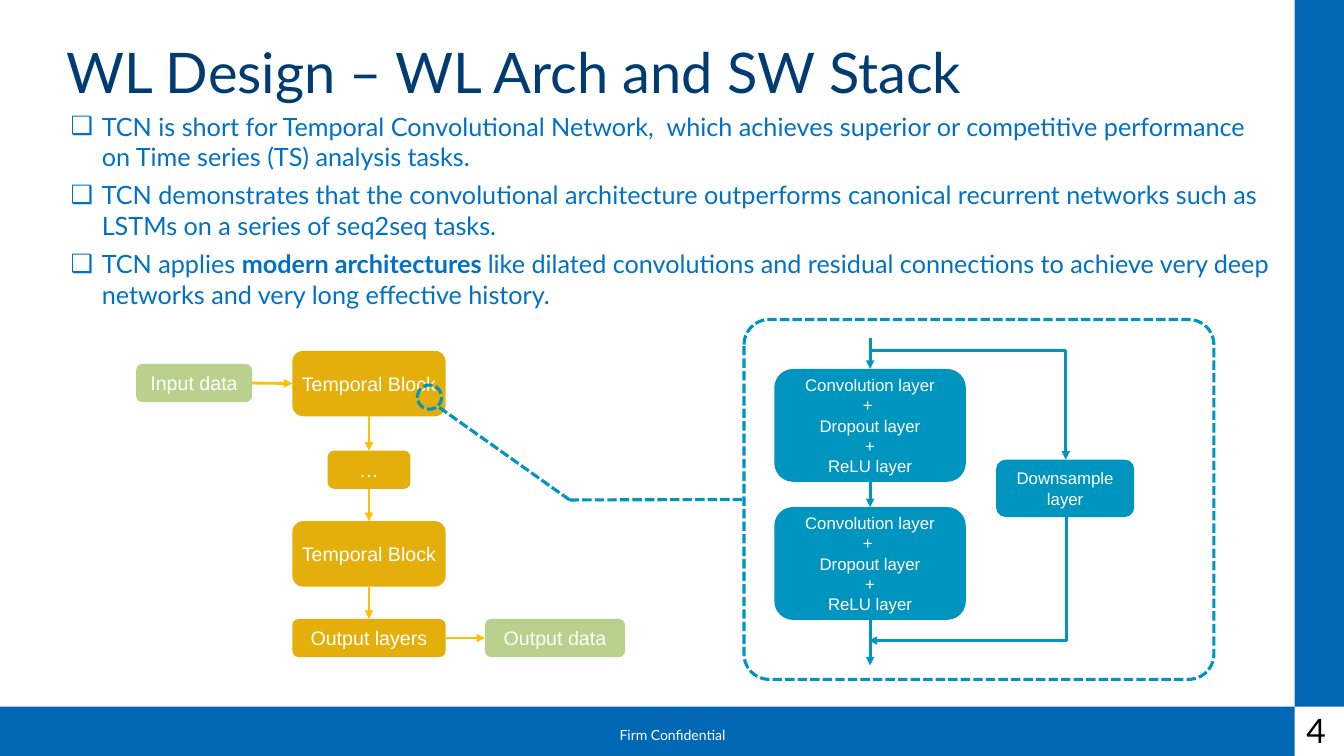
from lxml import etree
from pptx import Presentation
from pptx.dml.color import RGBColor
from pptx.enum.dml import MSO_LINE
from pptx.enum.shapes import MSO_CONNECTOR as Connector, MSO_SHAPE as Preset
from pptx.enum.text import MSO_ANCHOR as Anchor, MSO_AUTO_SIZE as AutoSize, PP_ALIGN as Align
from pptx.oxml.ns import qn
from pptx.util import Inches, Pt

BLUE, NAVY, BODY_BLUE = "0068B5", "003C71", "0071C5"
GOLD, ARROW_GOLD, GREEN, TEAL = "E5AF0B", "FFC000", "BAD18D", "0095BE"
WHITE, BLACK = "FFFFFF", "000000"
TOP, LEFT, BOTTOM, RIGHT = range(4)

BULLETS = [
    ["TCN is short for Temporal Convolutional Network,\u00a0\u00a0which achieves superior "
     "or competitive performance on Time series (TS) analysis tasks."],
    ["TCN demonstrates that the convolutional architecture outperforms canonical "
     "recurrent networks such as LSTMs on a series of seq2seq tasks."],
    ["TCN applies ", "modern architectures ",
     "like dilated convolutions and residual connections to achieve very deep "
     "networks and very long effective history."],
]
CONVOLUTION = "Convolution layer\n+ \nDropout layer\n+\nReLU layer"


def color(value):
    return RGBColor.from_string(value)


def inches(*values):
    return [Inches(value) for value in values]


def place(shape, box):
    shape.left, shape.top, shape.width, shape.height = inches(*box)


def format_font(font, size, value, name):
    font.size, font.name = Pt(size), name
    font.color.rgb = color(value)


def format_text(text_frame, size, value, name="Lato", align=Align.LEFT, spacing=None):
    for paragraph in text_frame.paragraphs:
        paragraph.alignment = align
        paragraph.line_spacing = spacing
        for run in paragraph.runs:
            format_font(run.font, size, value, name)


def set_insets(text_frame, inset):
    text_frame.margin_left = text_frame.margin_right = Inches(inset)
    text_frame.margin_top = text_frame.margin_bottom = Inches(inset)


def prepare_placeholder(shape, box):
    place(shape, box)
    text_frame = shape.text_frame
    set_insets(text_frame, 0)
    text_frame.vertical_anchor = Anchor.TOP
    text_frame.auto_size = AutoSize.NONE
    return text_frame


def add_bar(slide, box):
    shape = slide.shapes.add_shape(Preset.RECTANGLE, *inches(*box))
    shape.shadow.inherit = False
    shape.fill.solid()
    shape.fill.fore_color.rgb = color(BLUE)
    shape.line.fill.background()


def add_label(slide, box, text, size, value, align=Align.LEFT, wrap=True):
    text_frame = slide.shapes.add_textbox(*inches(*box)).text_frame
    text_frame.word_wrap = wrap
    text_frame.text = text
    format_text(text_frame, size, value, align=align, spacing=0.9)


def add_block(slide, box, text, fill, size=14):
    shape = slide.shapes.add_shape(Preset.ROUNDED_RECTANGLE, *inches(*box))
    shape.shadow.inherit = False
    shape.fill.solid()
    shape.fill.fore_color.rgb = color(fill)
    shape.line.fill.background()
    text_frame = shape.text_frame
    text_frame.word_wrap = True
    text_frame.vertical_anchor = Anchor.MIDDLE
    set_insets(text_frame, 0.06)
    text_frame.text = text
    format_text(text_frame, size, WHITE, "Arial", Align.CENTER)
    return shape


def format_line(line, value, dashed):
    line.color.rgb = color(value)
    line.width = Pt(2.25 if dashed else 2)
    if dashed:
        line.dash_style = MSO_LINE.SQUARE_DOT


def add_dashed_outline(slide, preset, box):
    shape = slide.shapes.add_shape(preset, *inches(*box))
    shape.shadow.inherit = False
    shape.fill.background()
    format_line(shape.line, TEAL, True)
    return shape


def add_line(slide, start, end, value, kind=Connector.STRAIGHT, dashed=False):
    """Each end is an (x, y) point or a (shape, side) pair."""
    points = [(0, 0) if hasattr(spot[0], "shape_id") else spot for spot in (start, end)]
    connector = slide.shapes.add_connector(kind, *inches(*points[0], *points[1]))
    if hasattr(start[0], "shape_id"):
        connector.begin_connect(*start)
    if hasattr(end[0], "shape_id"):
        connector.end_connect(*end)
    format_line(connector.line, value, dashed)
    if not dashed:
        etree.SubElement(connector.line._get_or_add_ln(), qn("a:tailEnd"), type="triangle")
    etree.SubElement(connector._element.spPr, qn("a:effectLst"))
    return connector


def add_corner_arrow(slide, start, end, rotation=0):
    connector = add_line(slide, start, end, TEAL, Connector.ELBOW)
    properties = connector._element.spPr
    properties.find(qn("a:prstGeom")).set("prst", "bentConnector2")
    properties.find(qn("a:xfrm")).set("rot", str(rotation * 60000))


def add_bullets(text_frame):
    text_frame.text = "\n".join("" for _ in BULLETS)
    for paragraph, parts in zip(text_frame.paragraphs, BULLETS):
        for index, part in enumerate(parts):
            run = paragraph.add_run()
            run.text = part
            run.font.bold = index == 1
        paragraph.space_before = Pt(6)
        properties = paragraph._p.get_or_add_pPr()
        properties.set("marL", str(Inches(0.56)))
        properties.set("indent", str(Inches(-0.31)))
        etree.SubElement(properties, qn("a:buChar"), char="❑")
    format_text(text_frame, 18, BODY_BLUE)


def add_network(slide):
    # Blocks of the whole network
    source = add_block(slide, (1.35, 3.61, 1.15, 0.38), "Input data", GREEN)
    first = add_block(slide, (2.9, 3.48, 1.52, 0.65), "Temporal Block", GOLD)
    more = add_block(slide, (3.25, 4.47, 0.82, 0.38), "…", GOLD)
    last = add_block(slide, (2.9, 5.17, 1.52, 0.65), "Temporal Block", GOLD)
    output = add_block(slide, (2.9, 6.14, 1.52, 0.38), "Output layers", GOLD)
    result = add_block(slide, (4.81, 6.14, 1.39, 0.38), "Output data", GREEN)
    # Flow between them
    column = [first, more, last, output]
    for upper, lower in zip(column, column[1:]):
        add_line(slide, (upper, BOTTOM), (lower, TOP), ARROW_GOLD)
    for before, after in [(source, first), (output, result)]:
        add_line(slide, (before, RIGHT), (after, LEFT), ARROW_GOLD)


def add_block_detail(slide):
    # Layers inside one temporal block
    upper, lower = [add_block(slide, (7.68, top, 1.9, 1.12), CONVOLUTION, TEAL, 12)
                    for top in (3.66, 5.03)]
    add_block(slide, (9.88, 4.56, 1.37, 0.57), "Downsample layer", TEAL, 12)
    add_line(slide, (8.63, 3.35), (upper, TOP), TEAL)
    add_line(slide, (upper, BOTTOM), (lower, TOP), TEAL)
    add_line(slide, (lower, BOTTOM), (8.63, 6.6), TEAL)
    # Residual branch
    add_corner_arrow(slide, (8.62, 3.48), (10.57, 4.56))
    add_corner_arrow(slide, (8.98, 4.76), (10.21, 6.72), 90)
    # Dashed frame and its callout
    frame = add_dashed_outline(slide, Preset.ROUNDED_RECTANGLE, (7.38, 3.17, 4.66, 3.57))
    frame.adjustments[0] = 0.07
    add_dashed_outline(slide, Preset.OVAL, (4.14, 3.82, 0.24, 0.24))
    add_line(slide, (5.65, 4.96), (frame, LEFT), TEAL, dashed=True)
    add_line(slide, (5.65, 4.96), (4.34, 4.03), TEAL, dashed=True)


def main():
    presentation = Presentation()
    presentation.slide_width, presentation.slide_height = inches(13.33, 7.5)
    slide = presentation.slides.add_slide(presentation.slide_layouts[1])

    # Bars, footer and page number
    add_bar(slide, (0, 7.01, 12.84, 0.49))
    add_bar(slide, (12.84, 0, 0.49, 7.01))
    add_label(slide, (6.02, 7.18, 1.3, 0.25), "Firm Confidential", 10, WHITE,
              Align.CENTER, wrap=False)
    add_label(slide, (12.86, 7.04, 0.47, 0.46), "4", 24, BLACK)

    # Title and list
    title_frame = prepare_placeholder(slide.shapes.title, (0.66, 0.45, 12, 0.8))
    title_frame.text = "WL Design – WL Arch and SW Stack"
    format_text(title_frame, 40, NAVY, spacing=0.9)
    add_bullets(prepare_placeholder(slide.placeholders[1], (0.45, 1.1, 12.21, 2.32)))

    # Diagram
    add_network(slide)
    add_block_detail(slide)
    presentation.save("out.pptx")


if __name__ == "__main__":
    main()
